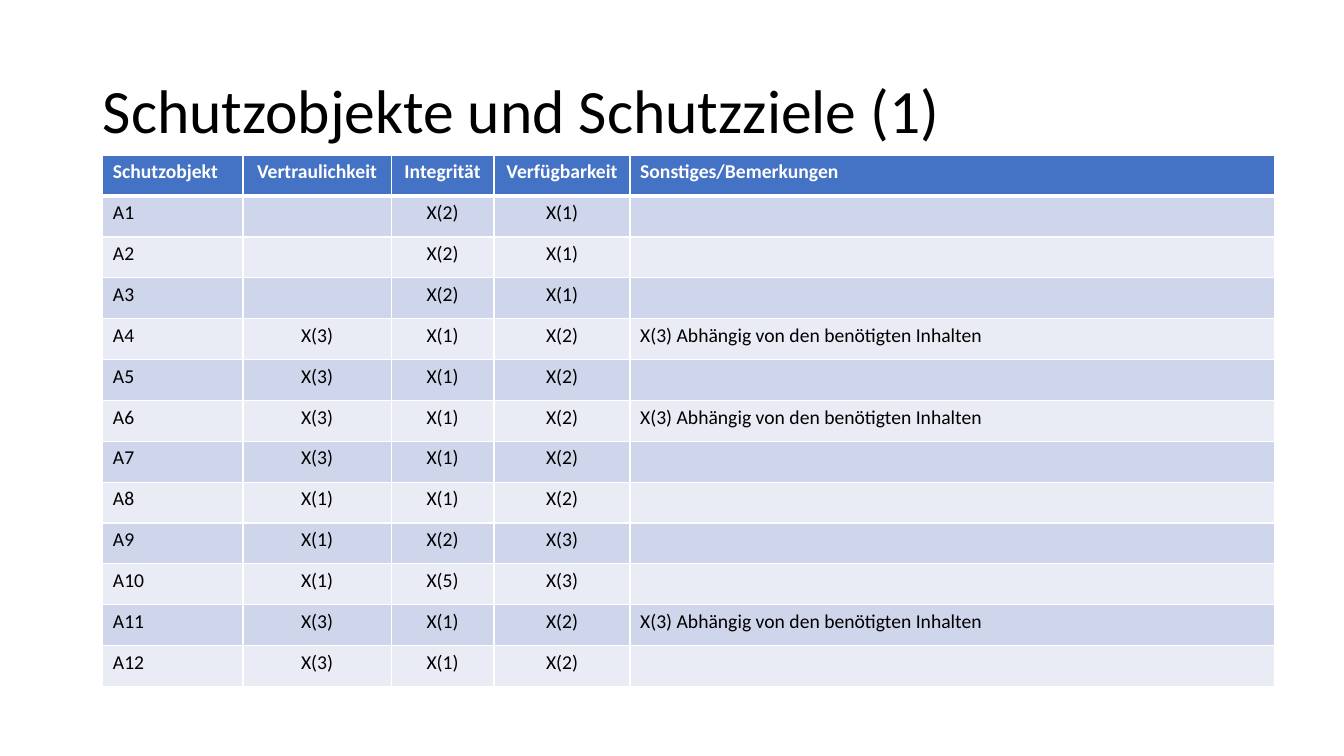
from dataclasses import dataclass

from lxml import etree
from pptx import Presentation
from pptx import util as u
from pptx.dml.color import RGBColor
from pptx.enum import text
from pptx.oxml import ns

WIDTH, HEIGHT = 13.33, 7.5
FONT = "Calibri"
WHITE, BLACK, HEADER = "FFFFFF", "000000", "4472C4"
BANDS = ("CFD5EA", "E9EBF5")
NOTE = "X(3) Abhängig von den benötigten Inhalten"
ROW_HEIGHT = 5.27 / 13


@dataclass(frozen=True)
class Column:
    heading: str
    width: float
    centred: bool = False


@dataclass(frozen=True)
class Asset:
    name: str
    confidentiality: str
    integrity: str
    availability: str
    remark: str = ""

    def cells(self) -> list[str]:
        goals = (self.confidentiality, self.integrity, self.availability)
        return [self.name, *(f"X({goal})" if goal else "" for goal in goals), self.remark]


COLUMNS = [
    Column("Schutzobjekt", 1.39),
    Column("Vertraulichkeit", 1.47, True),
    Column("Integrität", 1.02, True),
    Column("Verfügbarkeit", 1.35, True),
    Column("Sonstiges/Bemerkungen", 6.39),
]
ASSETS = [
    Asset("A1", "", "2", "1"),
    Asset("A2", "", "2", "1"),
    Asset("A3", "", "2", "1"),
    Asset("A4", "3", "1", "2", NOTE),
    Asset("A5", "3", "1", "2"),
    Asset("A6", "3", "1", "2", NOTE),
    Asset("A7", "3", "1", "2"),
    Asset("A8", "1", "1", "2"),
    Asset("A9", "1", "2", "3"),
    Asset("A10", "1", "5", "3"),
    Asset("A11", "3", "1", "2", NOTE),
    Asset("A12", "3", "1", "2"),
]


def rgb(value: str) -> RGBColor:
    return RGBColor.from_string(value)


def format_runs(p, size: float, color: str, bold: bool = False) -> None:
    for r in p.runs:
        r.font.name = FONT
        r.font.size = u.Pt(size)
        r.font.bold = bold
        r.font.color.rgb = rgb(color)


def add_borders(cell, **widths: float) -> None:
    """Draw white cell edges; each keyword is an edge tag with its width in points."""
    tc_pr = cell._tc.get_or_add_tcPr()
    for edge, width in widths.items():
        ln = etree.SubElement(tc_pr, ns.qn(f"a:{edge}"), w=str(u.Pt(width)))
        fill = etree.SubElement(ln, ns.qn("a:solidFill"))
        etree.SubElement(fill, ns.qn("a:srgbClr"), val=WHITE)


def add_title(s, wording: str) -> None:
    sp = s.shapes.title
    sp.left, sp.top = u.Inches(0.92), u.Inches(0.4)
    sp.width, sp.height = u.Inches(11.5), u.Inches(1.45)
    tf = sp.text_frame
    tf.text = wording
    tf.auto_size = text.MSO_AUTO_SIZE.NONE
    tf.vertical_anchor = text.MSO_ANCHOR.MIDDLE
    p = tf.paragraphs[0]
    p.alignment = text.PP_ALIGN.LEFT
    p.line_spacing = 0.9
    format_runs(p, 44, BLACK)


def fill_cell(cell, wording: str, column: Column, row: int) -> None:
    is_header = row == 0
    below_header = row == 1
    add_borders(cell, lnL=1, lnR=1, lnT=3 if below_header else 1, lnB=3 if is_header else 1)
    cell.fill.solid()
    cell.fill.fore_color.rgb = rgb(HEADER if is_header else BANDS[(row - 1) % 2])
    cell.text_frame.text = wording
    p = cell.text_frame.paragraphs[0]
    p.alignment = text.PP_ALIGN.CENTER if column.centred else text.PP_ALIGN.LEFT
    format_runs(p, 14, WHITE if is_header else BLACK, bold=is_header)


def add_asset_table(s) -> None:
    rows = [[column.heading for column in COLUMNS], *(asset.cells() for asset in ASSETS)]
    width = sum(column.width for column in COLUMNS)
    table = s.shapes.add_table(
        len(rows), len(COLUMNS), u.Inches(1.02), u.Inches(1.54),
        u.Inches(width), u.Inches(ROW_HEIGHT * len(rows)),
    ).table
    for i, column in enumerate(COLUMNS):
        table.columns[i].width = u.Inches(column.width)
        for row, wordings in enumerate(rows):
            fill_cell(table.cell(row, i), wordings[i], column, row)


def main() -> None:
    prs = Presentation()
    prs.slide_width, prs.slide_height = u.Inches(WIDTH), u.Inches(HEIGHT)
    title_only = prs.slide_layouts[5]
    s = prs.slides.add_slide(title_only)
    add_title(s, "Schutzobjekte und Schutzziele (1)")
    add_asset_table(s)
    prs.save("out.pptx")


if __name__ == "__main__":
    main()
